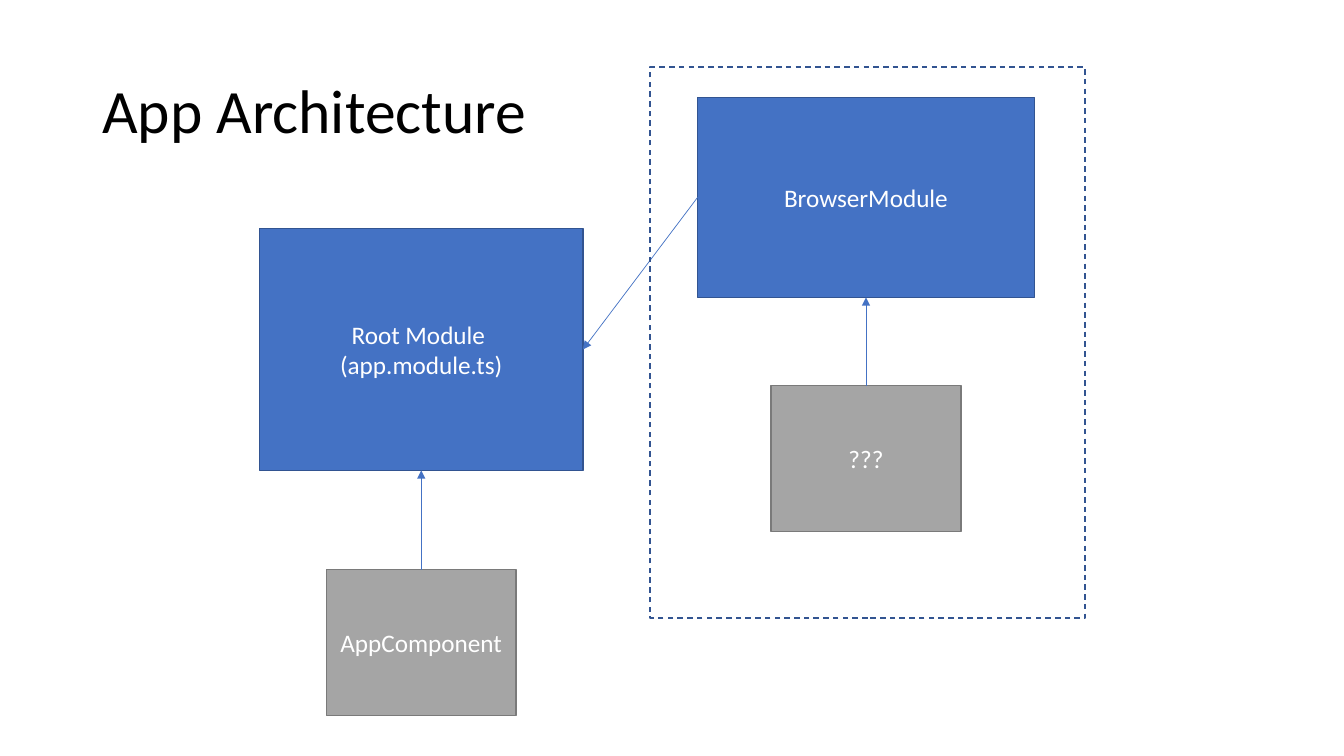
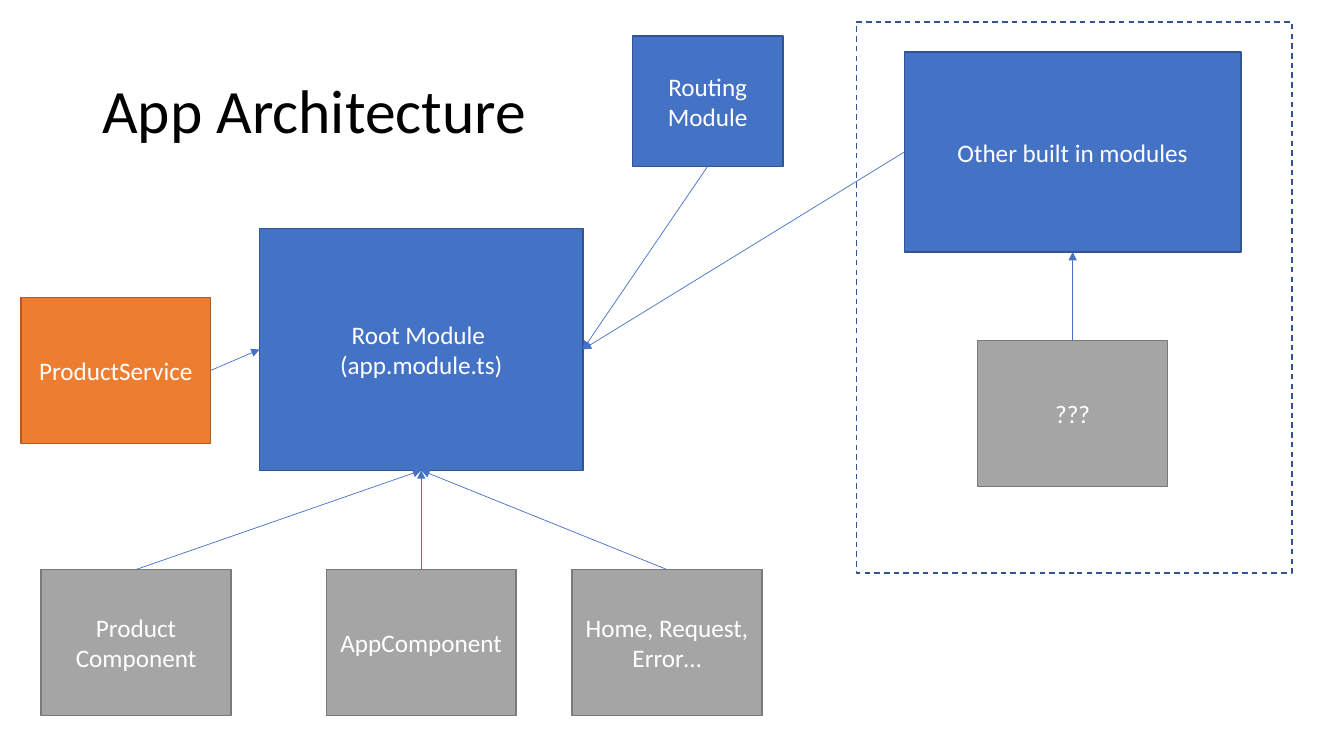
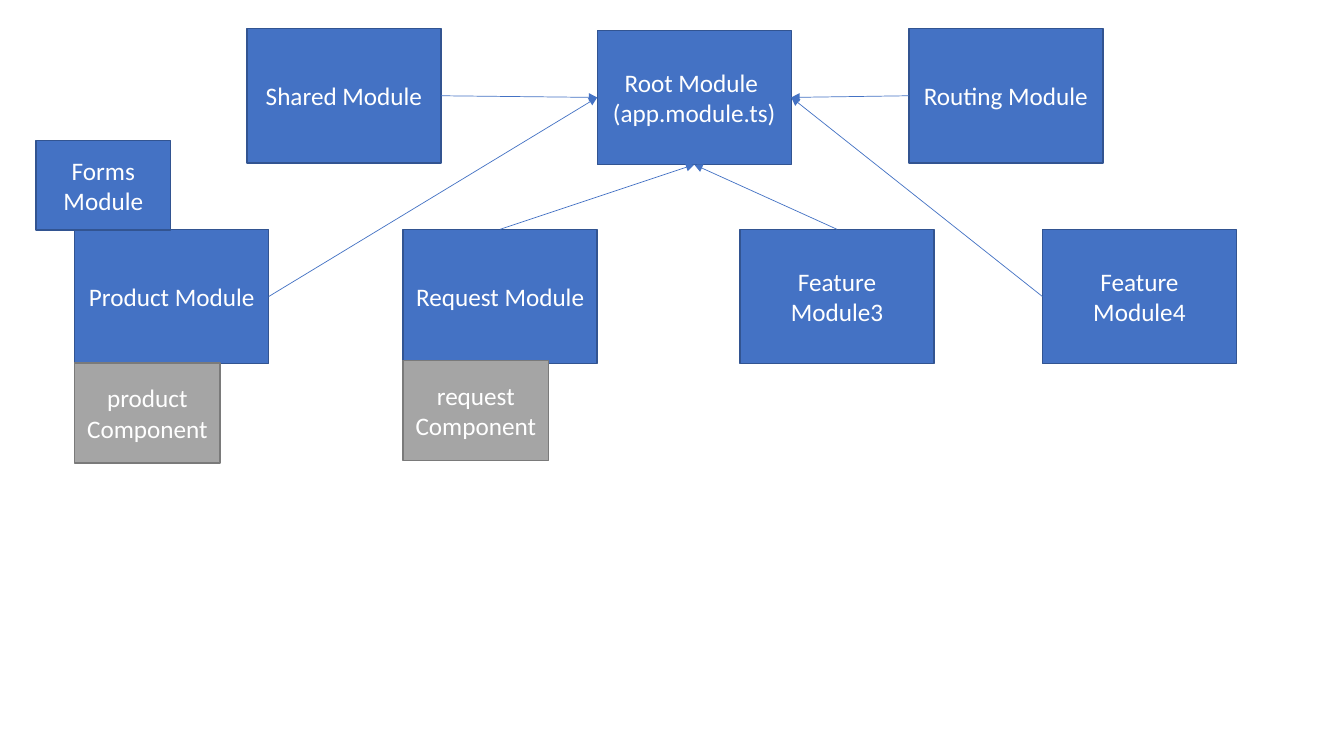
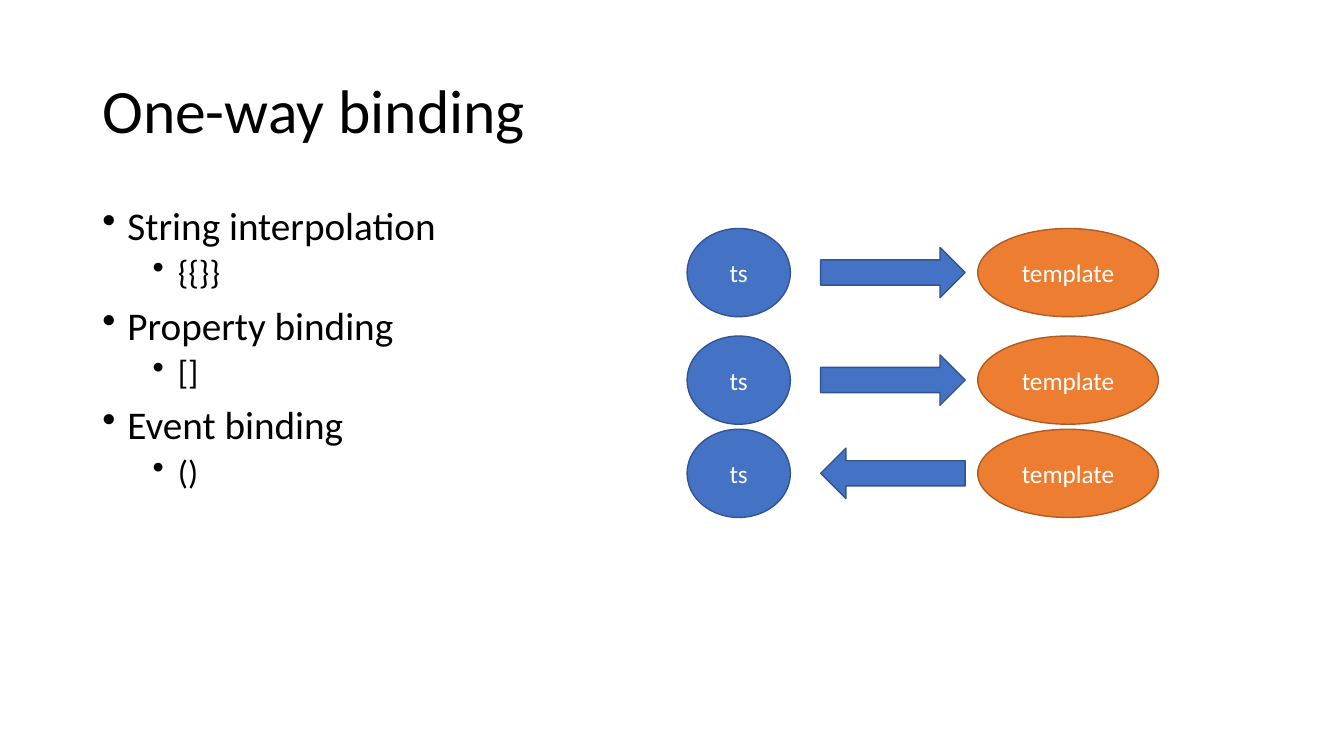
from lxml import etree
from pptx import Presentation
from pptx.dml.color import RGBColor
from pptx.enum.dml import MSO_LINE
from pptx.enum.shapes import MSO_CONNECTOR, MSO_SHAPE
from pptx.enum.text import MSO_ANCHOR, PP_ALIGN
from pptx.oxml.ns import qn
from pptx.util import Inches, Pt

RECTANGLE, ELLIPSE, ARROW = MSO_SHAPE.RECTANGLE, MSO_SHAPE.OVAL, MSO_SHAPE.RIGHT_ARROW
STRAIGHT, DASH = MSO_CONNECTOR.STRAIGHT, MSO_LINE.DASH
MIDDLE, CENTER = MSO_ANCHOR.MIDDLE, PP_ALIGN.CENTER
TOP, LEFT, BOTTOM, RIGHT = range(4)

FONT = "Calibri"
COLORS = {
    "module": "4472C4", "module_line": "325491",
    "component": "A5A5A5", "component_line": "7A7A7A",
    "service": "ED7D31", "service_line": "AF5C24",
    "text": "000000", "label": "FFFFFF",
}

# The slide is a grid of 160 columns by 90 rows of square cells
COLUMNS, ROWS = 160, 90
SLIDE_WIDTH, SLIDE_HEIGHT = Inches(40 / 3), Inches(7.5)
CELL = SLIDE_HEIGHT / ROWS

TITLE_BOX = (11, 4.8, 138, 17.4)
BODY_BOX = (11, 24, 138, 57.1)
ROOT_BOX = (30.9, 27.2, 38.5, 28.8)
COMPONENT_SIZE = (22.6, 17.4)
COMPONENT_TOP = 67.8
FRAME_SIZE = (51.8, 65.6)
FEATURE_SIZE = (23.1, 16)
SMALL_SIZE = (17.3, 11.9)
ROOT_TEXT = "Root Module \n(app.module.ts)"


def color(name):
    return RGBColor.from_string(COLORS[name])


def grid(box):
    return [round(value * CELL) for value in box]


def style_runs(paragraph, size, color_name):
    for run in paragraph.runs:
        run.font.name = FONT
        run.font.size = Pt(size)
        run.font.color.rgb = color(color_name)


def add_block(slide, box, text="", kind="module", preset=RECTANGLE):
    """Filled, outlined shape with a centred label."""
    shape = slide.shapes.add_shape(preset, *grid(box))
    shape.shadow.inherit = False
    shape.fill.solid()
    shape.fill.fore_color.rgb = color(kind)
    shape.line.color.rgb = color(kind + "_line")
    shape.line.width = Pt(1)
    frame = shape.text_frame
    frame.word_wrap = True
    frame.vertical_anchor = MIDDLE
    frame.text = text
    for paragraph in frame.paragraphs:
        paragraph.alignment = CENTER
        style_runs(paragraph, 18, "label")
    return shape


def add_arrow(slide, start, start_side, end, end_side):
    """Thin arrow joining the middles of two sides."""
    connector = slide.shapes.add_connector(STRAIGHT, 0, 0, 0, 0)
    connector.begin_connect(start, start_side)
    connector.end_connect(end, end_side)
    connector.line.color.rgb = color("module")
    connector.line.width = Pt(0.5)
    properties = connector._element.spPr
    etree.SubElement(properties.find(qn("a:ln")), qn("a:tailEnd"), type="triangle")
    etree.SubElement(properties, qn("a:effectLst"))


def add_text_box(slide, box):
    frame = slide.shapes.add_textbox(*grid(box)).text_frame
    frame.word_wrap = True
    return frame


def add_title(slide, text):
    frame = add_text_box(slide, TITLE_BOX)
    frame.vertical_anchor = MIDDLE
    frame.text = text
    paragraph = frame.paragraphs[0]
    paragraph.line_spacing = 0.9
    style_runs(paragraph, 44, "text")


def add_bullets(slide, box, items):
    """Two-level list; items are (level, text)."""
    frame = add_text_box(slide, box)
    frame.text = "\n".join(text for _, text in items)
    for index, (level, _) in enumerate(items):
        paragraph = frame.paragraphs[index]
        properties = paragraph._p.get_or_add_pPr()
        properties.set("marL", str(Inches(0.25 + 0.5 * level)))
        properties.set("indent", str(Inches(-0.25)))
        etree.SubElement(properties, qn("a:buChar"), char="•")
        paragraph.level = level
        paragraph.line_spacing = 0.9
        if index:
            paragraph.space_before = Pt(5 if level else 10)
        style_runs(paragraph, 24 if level else 28, "text")


def add_root(slide):
    """Root module with the app component centred below it."""
    root = add_block(slide, ROOT_BOX, ROOT_TEXT)
    left = ROOT_BOX[0] + (ROOT_BOX[2] - COMPONENT_SIZE[0]) / 2
    add_component(slide, left, "AppComponent", root)
    return root


def add_component(slide, left, text, root):
    component = add_block(slide, (left, COMPONENT_TOP, *COMPONENT_SIZE), text, "component")
    add_arrow(slide, component, TOP, root, BOTTOM)


def add_built_in(slide, left, top, text, root):
    """Dashed frame around a built-in module and its unknown component."""
    width, height = 40.1, 23.8
    module_left = left + (FRAME_SIZE[0] - width) / 2 - 0.2
    module = add_block(slide, (module_left, top + 3.6, width, height), text)
    add_arrow(slide, module, LEFT, root, RIGHT)
    component_left = module_left + (width - COMPONENT_SIZE[0]) / 2
    component = add_block(slide, (component_left, top + 37.9, *COMPONENT_SIZE), "???", "component")
    add_arrow(slide, component, TOP, module, BOTTOM)
    frame = add_block(slide, (left, top, *FRAME_SIZE))
    frame.fill.background()
    frame.line.dash_style = DASH


def build_first_architecture(slide):
    add_title(slide, "App Architecture")
    root = add_root(slide)
    add_built_in(slide, 77.4, 8, "BrowserModule", root)


def build_extended_architecture(slide):
    add_title(slide, "App Architecture")
    root = add_root(slide)
    add_built_in(slide, 102, 2.6, "Other built in modules", root)
    add_component(slide, 4.9, "Product Component", root)
    service = add_block(slide, (2.5, 35.4, *COMPONENT_SIZE), "ProductService", "service")
    add_arrow(slide, service, RIGHT, root, LEFT)
    add_component(slide, 68.1, "Home, Request, Error…", root)
    routing = add_block(slide, (75.3, 4.3, 17.9, 15.5), "Routing Module")
    add_arrow(slide, routing, BOTTOM, root, RIGHT)


def build_feature_modules(slide):
    root = add_block(slide, (71.1, 3.6, *FEATURE_SIZE), ROOT_TEXT)
    upper, lower = 3.4, 27.3
    product_left, request_left = 8.9, 48
    # Each module: left, top, label, side it leaves from, side of the root it reaches
    modules = [
        (product_left, lower, "Product Module", RIGHT, LEFT),
        (request_left, lower, "Request Module", TOP, BOTTOM),
        (88.1, lower, "Feature Module3", TOP, BOTTOM),
        (124.1, lower, "Feature Module4", LEFT, RIGHT),
        (108.2, upper, "Routing Module", LEFT, RIGHT),
        (29.4, upper, "Shared Module", RIGHT, LEFT),
    ]
    for left, top, text, side, root_side in modules:
        module = add_block(slide, (left, top, *FEATURE_SIZE), text)
        add_arrow(slide, module, side, root, root_side)
    # Parts attached to the feature modules
    add_block(slide, (request_left, 42.9, *SMALL_SIZE), "request Component", "component")
    add_block(slide, (product_left, 43.2, *SMALL_SIZE), "product Component", "component")
    add_block(slide, (4.3, 16.7, 16, 10.7), "Forms Module")


def add_binding(slide, left, top, to_template):
    """One row: code, direction arrow, template."""
    height, arrow_height = 10.5, 6
    add_block(slide, (left, top, 12.3, height), "ts", preset=ELLIPSE)
    add_block(slide, (left + 34.6, top, 21.5, height), "template", "service", ELLIPSE)
    arrow_top = top + (height - arrow_height) / 2
    arrow = add_block(slide, (left + 15.9, arrow_top, 17.2, arrow_height), preset=ARROW)
    if not to_template:
        arrow.rotation = 180


def build_binding(slide):
    add_title(slide, "One-way binding")
    add_bullets(slide, BODY_BOX, [
        (0, "String interpolation"), (1, "{{}}"),
        (0, "Property binding"), (1, "[]"),
        (0, "Event binding"), (1, "()"),
    ])
    for top, to_template in [(27.2, True), (40, True), (51.1, False)]:
        add_binding(slide, 81.8, top, to_template)


def main():
    presentation = Presentation()
    presentation.slide_width, presentation.slide_height = SLIDE_WIDTH, SLIDE_HEIGHT
    blank = presentation.slide_layouts[6]
    for build in (build_first_architecture, build_extended_architecture,
                  build_feature_modules, build_binding):
        build(presentation.slides.add_slide(blank))
    presentation.save("out.pptx")


if __name__ == "__main__":
    main()
